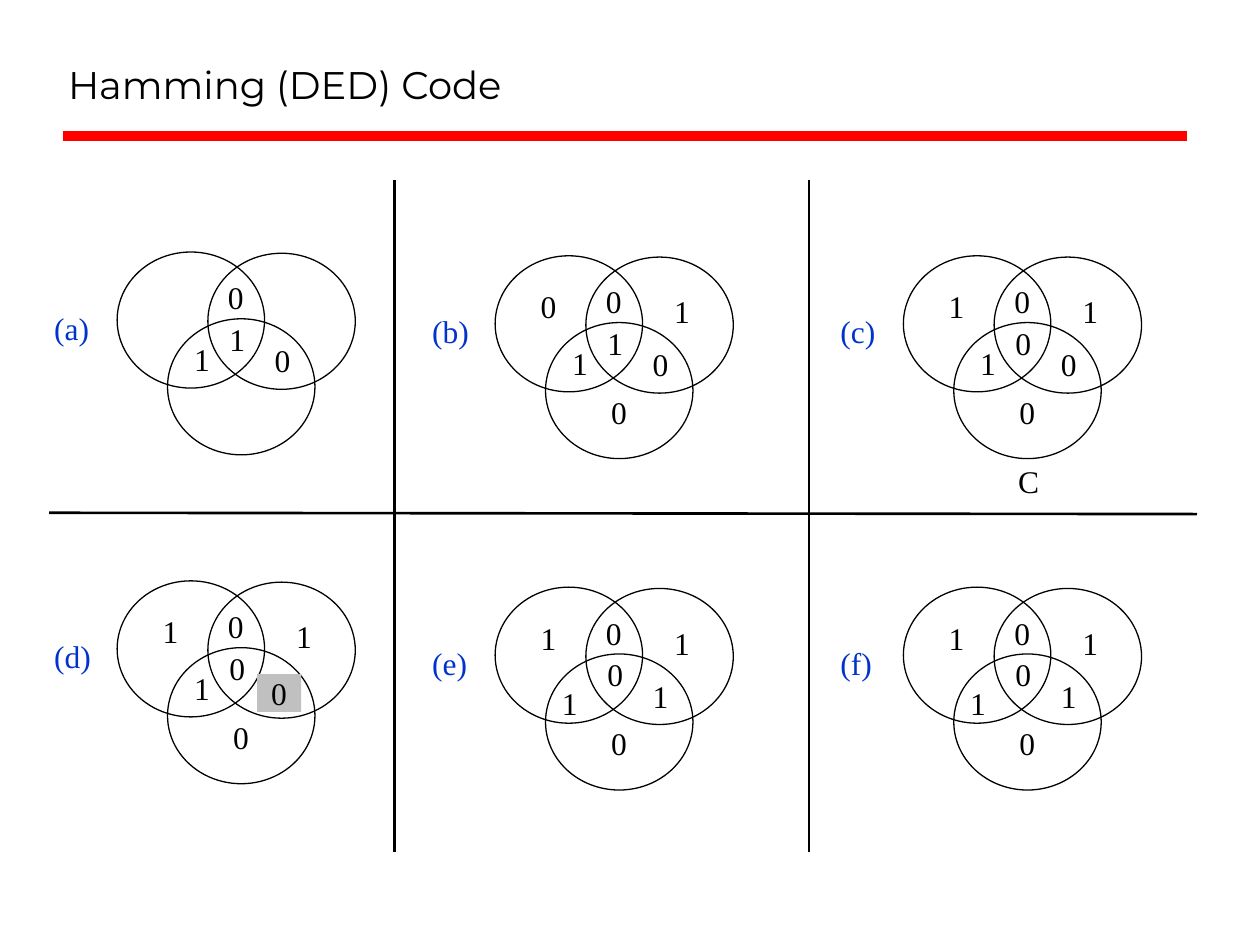
import pptx
import pptx.dml.color
import pptx.enum.shapes
import pptx.enum.text
import pptx.oxml
import pptx.util
from pptx.util import Inches

BLACK, BLUE, RED, GRAY = "000000", "0033CC", "FF0000", "C0C0C0"
FONT = "Times New Roman"
LEFT = pptx.enum.text.PP_ALIGN.LEFT
CENTER = pptx.enum.text.PP_ALIGN.CENTER
SHAPES = pptx.enum.shapes.MSO_SHAPE

# Offsets from the top left corner of each panel's label
CIRCLES = [(0.5, -0.45), (1.22, -0.44), (0.9, 0.08)]
REGIONS = {
    "A": (0.86, -0.2),
    "B": (1.92, -0.16),
    "C": (1.42, 0.64),
    "AB": (1.38, -0.24),
    "ABC": (1.39, 0.09),
    "AC": (1.11, 0.25),
    "BC": (1.75, 0.26),
}
LOW_AC = (1.03, 0.32)

# Label, its position, and the bit in each region
PANELS = [
    ("(a)", 0.43, 2.45, {"AB": 0, "ABC": 1, "AC": 1, "BC": 0}),
    ("(b)", 3.43, 2.48, {"A": 0, "B": 1, "C": 0, "AB": 0, "ABC": 1, "AC": 1, "BC": 0}),
    ("(c)", 6.67, 2.48, {"A": 1, "B": 1, "C": 0, "AB": 0, "ABC": 0, "AC": 1, "BC": 0}),
    ("(d)", 0.43, 5.06, {"A": 1, "B": 1, "C": 0, "AB": 0, "ABC": 0, "AC": 1}),
    ("(e)", 3.43, 5.11, {"A": 1, "B": 1, "C": 0, "AB": 0, "ABC": 0, "AC": 1, "BC": 1}),
    ("(f)", 6.67, 5.11, {"A": 1, "B": 1, "C": 0, "AB": 0, "ABC": 0, "AC": 1, "BC": 1}),
]


def rgb(color):
    return pptx.dml.color.RGBColor.from_string(color)


def write(sp, text, color=BLACK, align=LEFT):
    tf = sp.text_frame
    tf.margin_left = tf.margin_right = tf.margin_top = tf.margin_bottom = 0
    tf.word_wrap = True
    tf.auto_size = pptx.enum.text.MSO_AUTO_SIZE.SHAPE_TO_FIT_TEXT
    tf.vertical_anchor = pptx.enum.text.MSO_ANCHOR.TOP
    p = tf.paragraphs[0]
    p.text = text
    p.alignment = align
    p.font.name = FONT
    p.font.size = pptx.util.Pt(18)
    p.font.color.rgb = rgb(color)


def add_text(s, text, x, y, w=0.17, color=BLACK):
    write(s.shapes.add_textbox(Inches(x), Inches(y), Inches(w), Inches(0.3)), text, color)


def add_circle(s, x, y):
    sp = s.shapes.add_shape(SHAPES.OVAL, Inches(x), Inches(y), Inches(1.17), Inches(1.08))
    sp.shadow.inherit = False
    sp.fill.background()
    sp.line.color.rgb = rgb(BLACK)
    sp.line.width = pptx.util.Pt(0.75)


def add_highlight(s, text, x, y):
    sp = s.shapes.add_shape(SHAPES.RECTANGLE, Inches(x), Inches(y), Inches(0.35), Inches(0.3))
    sp.shadow.inherit = False
    sp.fill.solid()
    sp.fill.fore_color.rgb = rgb(GRAY)
    sp.line.fill.background()
    write(sp, text, align=CENTER)


def add_line(s, x1, y1, x2, y2, color=BLACK, width=1.5):
    line = s.shapes.add_connector(
        pptx.enum.shapes.MSO_CONNECTOR.STRAIGHT,
        Inches(x1), Inches(y1), Inches(x2), Inches(y2))
    line.line.color.rgb = rgb(color)
    line.line.width = pptx.util.Pt(width)
    line._element.spPr.append(pptx.oxml.parse_xml(
        '<a:effectLst xmlns:a="http://schemas.openxmlformats.org/drawingml/2006/main"/>'))


def add_panel(s, label, x, y, bits):
    """Draw one labelled three-circle Venn diagram with its bits."""
    for dx, dy in CIRCLES:
        add_circle(s, x + dx, y + dy)
    add_text(s, label, x, y, 0.33, BLUE)
    for region, bit in bits.items():
        lowered = region == "AC" and label in ("(e)", "(f)")
        dx, dy = LOW_AC if lowered else REGIONS[region]
        add_text(s, str(bit), x + dx, y + dy)


def set_title(s, text):
    sp = s.shapes.title
    sp.left, sp.top, sp.width, sp.height = Inches(0.44), Inches(0.4), Inches(8.97), Inches(0.5)
    tf = sp.text_frame
    tf.auto_size = pptx.enum.text.MSO_AUTO_SIZE.NONE
    tf.vertical_anchor = pptx.enum.text.MSO_ANCHOR.BOTTOM
    p = tf.paragraphs[0]
    p.text = text
    p.alignment = LEFT
    p.font.name = "Montserrat"
    p.font.size = pptx.util.Pt(22)
    p.font.color.rgb = rgb(BLACK)


def main():
    prs = pptx.Presentation()
    prs.slide_width, prs.slide_height = Inches(10), Inches(7.5)
    s = prs.slides.add_slide(prs.slide_layouts[5])
    set_title(s, "Hamming (DED) Code")
    add_line(s, 0.5, 1.08, 9.42, 1.08, RED, 6)
    for panel in PANELS:
        add_panel(s, *panel)
    add_highlight(s, "0", 2.04, 5.35)
    add_text(s, "C", 8.08, 3.67)
    add_line(s, 0.39, 4.07, 9.5, 4.08)
    for x in (3.13, 6.42):
        add_line(s, x, 1.43, x, 6.76)
    prs.save("out.pptx")


if __name__ == "__main__":
    main()
